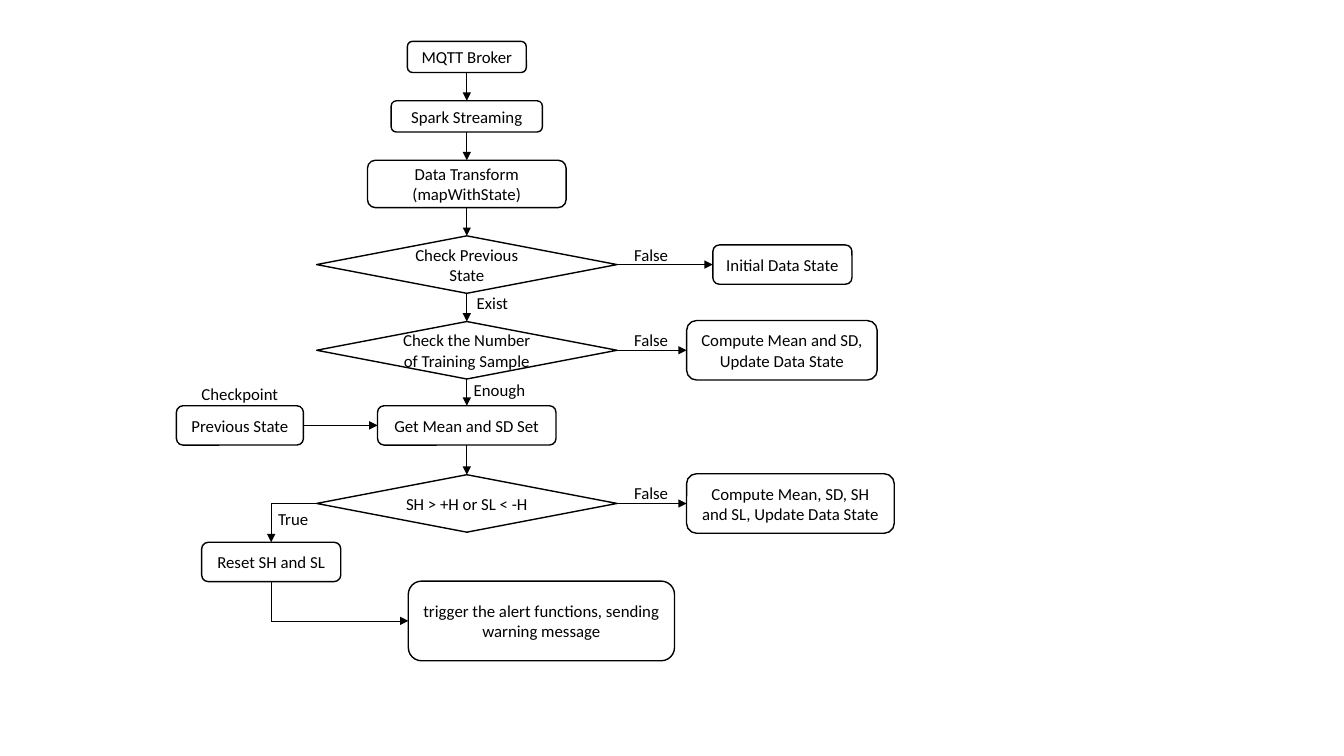
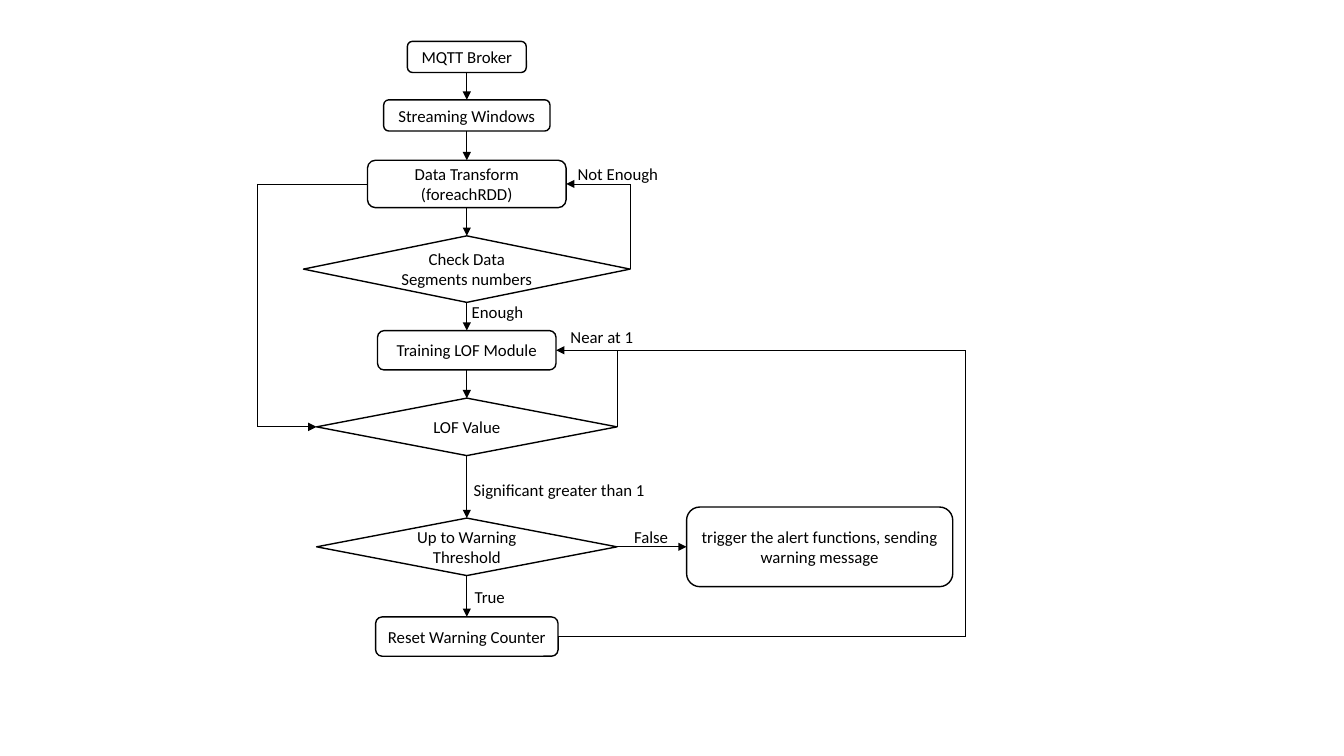
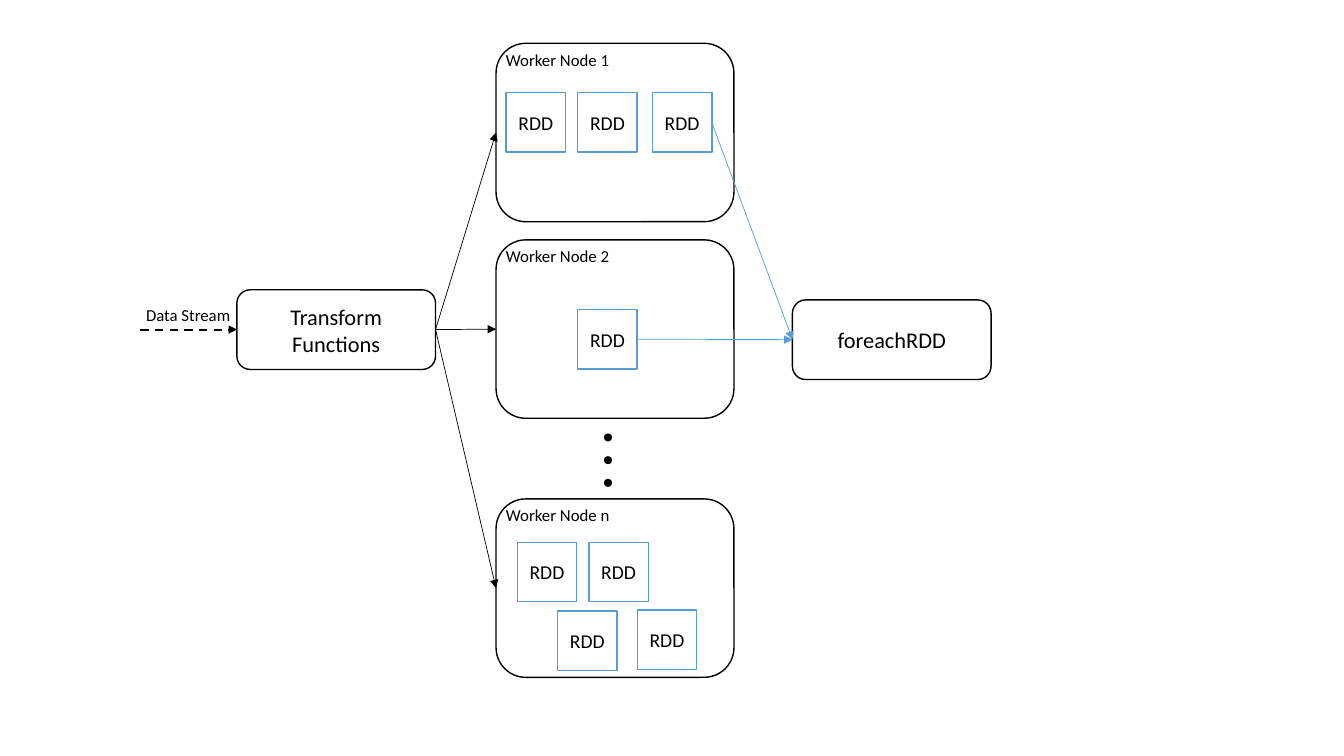
from lxml import etree
from pptx import Presentation, util as u
from pptx.dml.color import RGBColor
from pptx.enum import dml, shapes, text as t
from pptx.oxml.ns import qn

BLACK = RGBColor(0x00, 0x00, 0x00)
WHITE = RGBColor(0xFF, 0xFF, 0xFF)
BLUE = RGBColor(0x5B, 0x9B, 0xD5)
FONT = "Calibri"
CELL = u.Inches(0.1)
TOP, LEFT, BOTTOM, RIGHT = range(4)
SPINE = 46.3
BRANCH_LABEL = 61.9
PROCESS = shapes.MSO_SHAPE.FLOWCHART_ALTERNATE_PROCESS
DECISION = shapes.MSO_SHAPE.FLOWCHART_DECISION
ROUNDED = shapes.MSO_SHAPE.ROUNDED_RECTANGLE
SQUARE = shapes.MSO_SHAPE.RECTANGLE
DOT = shapes.MSO_SHAPE.OVAL


def grid(cells):
    """Turn a number of grid cells into a length."""
    return u.Emu(round(cells * CELL))


def write(frame, text, size=12, color=BLACK, align=t.PP_ALIGN.CENTER,
          anchor=t.MSO_ANCHOR.MIDDLE, wrap=True):
    """Fill a text frame, one paragraph for each line of text."""
    frame.word_wrap = wrap
    frame.vertical_anchor = anchor
    for index, line in enumerate(text.split("\n")):
        paragraph = frame.add_paragraph() if index else frame.paragraphs[0]
        paragraph.alignment = align
        run = paragraph.add_run()
        run.text = line
        run.font.name = FONT
        run.font.size = u.Pt(size)
        run.font.color.rgb = color


def port(shape, side):
    """Give the column and row of the middle of one side of a shape."""
    across = {LEFT: 0, RIGHT: 1}.get(side, 0.5)
    down = {TOP: 0, BOTTOM: 1}.get(side, 0.5)
    return ((shape.left + across * shape.width) / CELL,
            (shape.top + down * shape.height) / CELL)


class Diagram:
    """Draws flow charts on a grid of tenth-inch columns and rows."""

    def __init__(self):
        """Open an empty widescreen presentation."""
        self.presentation = Presentation()
        self.presentation.slide_width = u.Inches(13.33)
        self.presentation.slide_height = u.Inches(7.5)
        self.slide = None

    def new_slide(self):
        """Start a blank slide."""
        layout = self.presentation.slide_layouts[6]
        self.slide = self.presentation.slides.add_slide(layout)

    def block(self, text, column, row, width, height, kind=PROCESS,
              size=12, fill=WHITE, line=BLACK):
        """Draw a shape centred on a column and row."""
        shape = self.slide.shapes.add_shape(
            kind, grid(column - width / 2), grid(row - height / 2),
            grid(width), grid(height))
        shape.shadow.inherit = False
        shape.fill.solid()
        shape.fill.fore_color.rgb = fill
        if line is None:
            shape.line.fill.background()
        else:
            shape.line.color.rgb = line
            shape.line.width = u.Pt(1)
        if text:
            write(shape.text_frame, text, size=size)
        return shape

    def step(self, text, row, width, height=3.9):
        """Draw a process on the spine."""
        return self.block(text, SPINE, row, width, height)

    def decision(self, text, row, width=29.8, height=5.7):
        """Draw a decision on the spine."""
        return self.block(text, SPINE, row, width, height, DECISION)

    def label(self, text, column, row, width):
        """Write a one-line label from its left and top."""
        box = self.slide.shapes.add_textbox(
            grid(column), grid(row), grid(width), grid(3))
        write(box.text_frame, text, align=t.PP_ALIGN.LEFT,
              anchor=t.MSO_ANCHOR.TOP, wrap=False)
        box.text_frame.auto_size = t.MSO_AUTO_SIZE.SHAPE_TO_FIT_TEXT

    def line(self, start, end, arrow=True, color=BLACK, width=0.5, dashed=False):
        """Draw a straight line between two grid points."""
        connector = self.slide.shapes.add_connector(
            shapes.MSO_CONNECTOR.STRAIGHT, *map(grid, (*start, *end)))
        connector.line.color.rgb = color
        connector.line.width = u.Pt(width)
        if dashed:
            connector.line.dash_style = dml.MSO_LINE.DASH
        properties = connector._element.spPr
        if arrow:
            outline = properties.find(qn("a:ln"))
            etree.SubElement(outline, qn("a:tailEnd"), type="triangle")
        etree.SubElement(properties, qn("a:effectLst"))
        return connector

    def connect(self, first, second, sides=(RIGHT, LEFT), color=BLACK):
        """Join two shapes with a glued arrow."""
        connector = self.line(port(first, sides[0]), port(second, sides[1]),
                              color=color)
        connector.begin_connect(first, sides[0])
        connector.end_connect(second, sides[1])

    def chain(self, *steps):
        """Join shapes from top to bottom."""
        for upper, lower in zip(steps, steps[1:]):
            self.connect(upper, lower, (BOTTOM, TOP))

    def branch(self, decision, target):
        """Join a decision to the block taken when it is false."""
        self.connect(decision, target)
        self.label("False", BRANCH_LABEL, port(decision, RIGHT)[1] - 2.5, 5.4)

    def route(self, *points, arrow=True):
        """Draw a line through points, with an arrow on its last part."""
        last = len(points) - 2
        for index, ends in enumerate(zip(points, points[1:])):
            self.line(*ends, arrow=arrow and index == last)

    def alert(self, column, row):
        """Draw the block that sends the warning."""
        return self.block("trigger the alert functions, sending warning message",
                          column, row, 26.4, 7.9)

    def source(self, stream, width, row, function):
        """Draw the three steps that bring in the data."""
        return (self.step("MQTT Broker", 5.65, 11.8, 3.1),
                self.step(stream, row, width, 3.1),
                self.step(f"Data Transform\n({function})", 18.25, 19.7, 4.7))


def draw_state_flow(diagram):
    """Draw the flow that keeps a mean and deviation."""
    diagram.new_slide()
    source = diagram.source("Spark Streaming", 15, 11.55, "mapWithState")
    previous = diagram.decision("Check Previous State", 26.25)
    samples = diagram.decision("Check the Number of Training Sample", 34.75)
    mean_set = diagram.step("Get Mean and SD Set", 42.2, 17.7)
    limits = diagram.decision("SH > +H or SL < -H", 49.95)
    diagram.chain(*source, previous, samples, mean_set, limits)

    for decision, text, column, width, height in (
            (previous, "Initial Data State", 77.6, 13.8, 3.9),
            (samples, "Compute Mean and SD, Update Data State", 77.55, 18.9, 5.9),
            (limits, "Compute Mean, SD, SH and SL, Update Data State",
             78.4, 20.6, 5.9)):
        row = port(decision, RIGHT)[1]
        diagram.branch(decision, diagram.block(text, column, row, width, height))

    checkpoint = diagram.block("Previous State", 23.8, 42.2, 12.6, 3.9)
    diagram.connect(checkpoint, mean_set)
    reset = diagram.block("Reset SH and SL", 26.9, 55.75, 13.8, 3.9)
    alert = diagram.alert(53.7, 61.6)
    exit_point, alert_point = port(limits, LEFT), port(alert, LEFT)
    reset_column = port(reset, TOP)[0]
    diagram.route(exit_point, (reset_column, exit_point[1]), port(reset, TOP))
    diagram.route(port(reset, BOTTOM), (reset_column, alert_point[1]), alert_point)

    for label in (("Exist", 46.3, 28.6, 5.2), ("Enough", 46, 37.2, 7.2),
                  ("Checkpoint", 19, 37.6, 9.7), ("True", 26.6, 50, 5)):
        diagram.label(*label)


def draw_window_flow(diagram):
    """Draw the flow that trains on windows."""
    diagram.new_slide()
    source = diagram.source("Streaming Windows", 16.5, 11.45, "foreachRDD")
    transform = source[-1]
    segments = diagram.decision("Check Data Segments numbers", 26.7, 32.4, 6.6)
    training = diagram.step("Training LOF Module", 34.75, 17.7)
    value = diagram.decision("LOF Value", 42.35)
    threshold = diagram.decision("Up to Warning Threshold", 54.25)
    reset = diagram.step("Reset Warning Counter", 63.15, 18.1)
    diagram.chain(*source, segments, training, value, threshold, reset)
    diagram.branch(threshold, diagram.alert(81.3, 54.25))

    for start, end, side, column in (
            (segments, transform, RIGHT, port(segments, RIGHT)[0]),
            (transform, value, LEFT, 25.55),
            (reset, training, RIGHT, 95.7)):
        begin, finish = port(start, side), port(end, side)
        corners = [(column, begin[1]), (column, finish[1])]
        points = [begin] + [corner for corner in corners if corner != begin]
        diagram.route(*points, finish)
    value_point = port(value, RIGHT)
    diagram.route(value_point, (value_point[0], port(training, RIGHT)[1]),
                  arrow=False)

    for label in (("Not Enough", 56.3, 15.8, 10.1), ("Enough", 45.8, 29.4, 7.2),
                  ("Near at 1", 55.6, 31.9, 8.3), ("True", 46.1, 57.7, 5),
                  ("Significant greater than 1", 46, 47.1, 19.1)):
        diagram.label(*label)


def draw_workers(diagram):
    """Draw the stream spread over worker nodes."""
    diagram.new_slide()
    functions = diagram.block("Transform\nFunctions", 33.35, 32.7, 19.7, 7.9,
                              ROUNDED, size=16)
    collector = diagram.block("foreachRDD", 88.45, 33.7, 19.7, 7.9,
                              ROUNDED, size=16)
    diagram.line((13.9, 32.7), port(functions, LEFT), width=1.5, dashed=True)
    diagram.label("Data Stream", 13.5, 29.7, 10.5)

    workers = (
        ("1", 13.15, ((53.15, 12.15), (60.25, 12.15), (67.65, 12.15)), True),
        ("2", 32.65, ((60.25, 33.65),), True),
        ("n", 58.35, ((54.25, 56.75), (61.35, 56.75), (58.25, 63.55),
                      (66.15, 63.45)), False))
    for name, row, places, collected in workers:
        worker = diagram.block("", 61, row, 23.6, 17.7, ROUNDED)
        diagram.label(f"Worker Node {name}", 49.2, row - 8.75, 12.4)
        datasets = [diagram.block("RDD", *place, 5.9, 5.9, SQUARE, size=14,
                                  line=BLUE) for place in places]
        diagram.connect(functions, worker)
        if collected:
            diagram.connect(datasets[-1], collector, color=BLUE)

    for index in range(3):
        diagram.block("", 60.3, 43.4 + 2.25 * index, 0.8, 0.8, DOT,
                      fill=BLACK, line=None)


def main():
    """Build and save the presentation."""
    diagram = Diagram()
    draw_state_flow(diagram)
    draw_window_flow(diagram)
    draw_workers(diagram)
    diagram.presentation.save("out.pptx")


if __name__ == "__main__":
    main()
